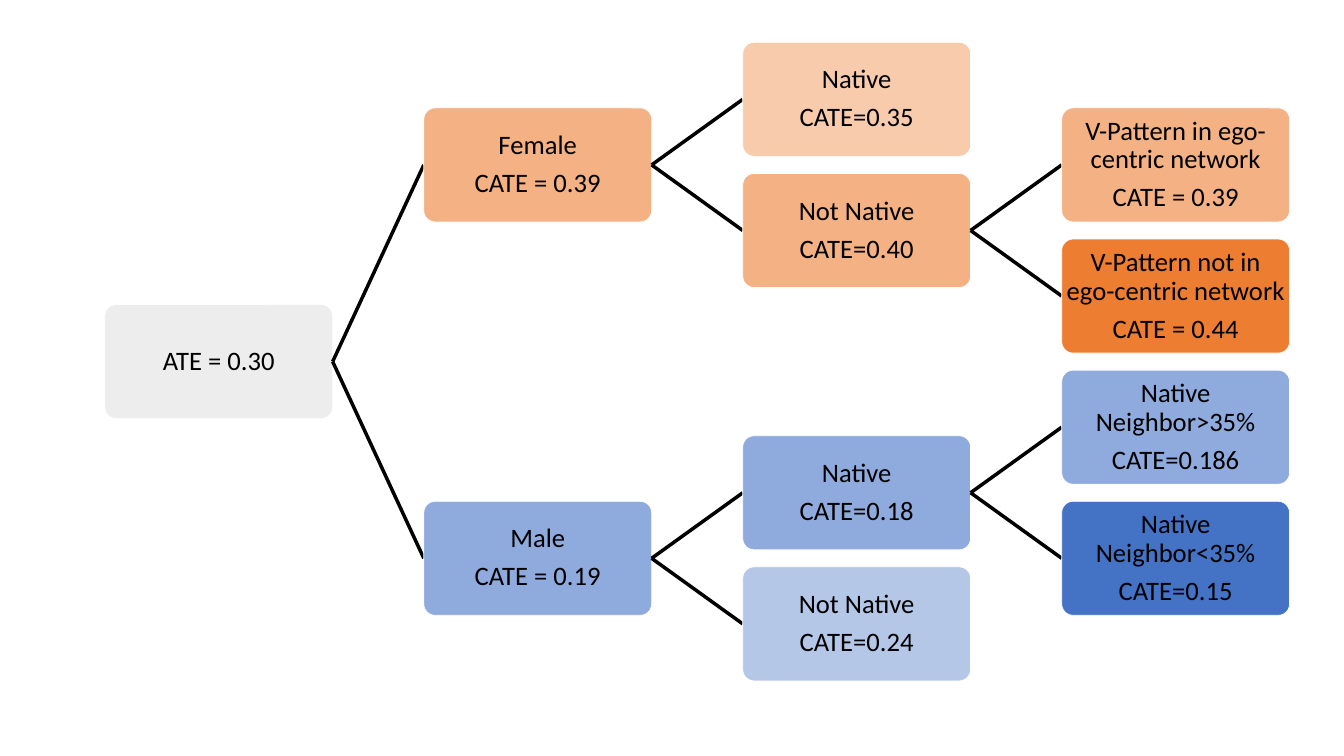
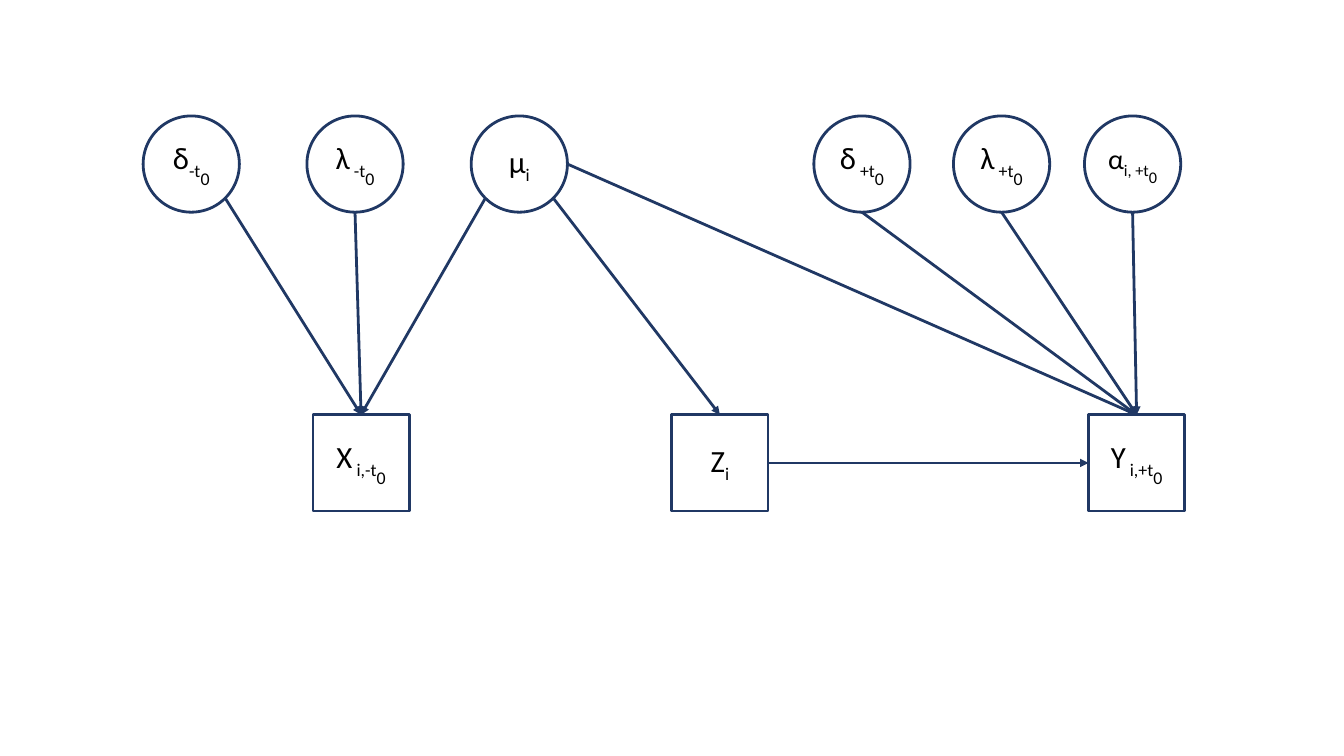
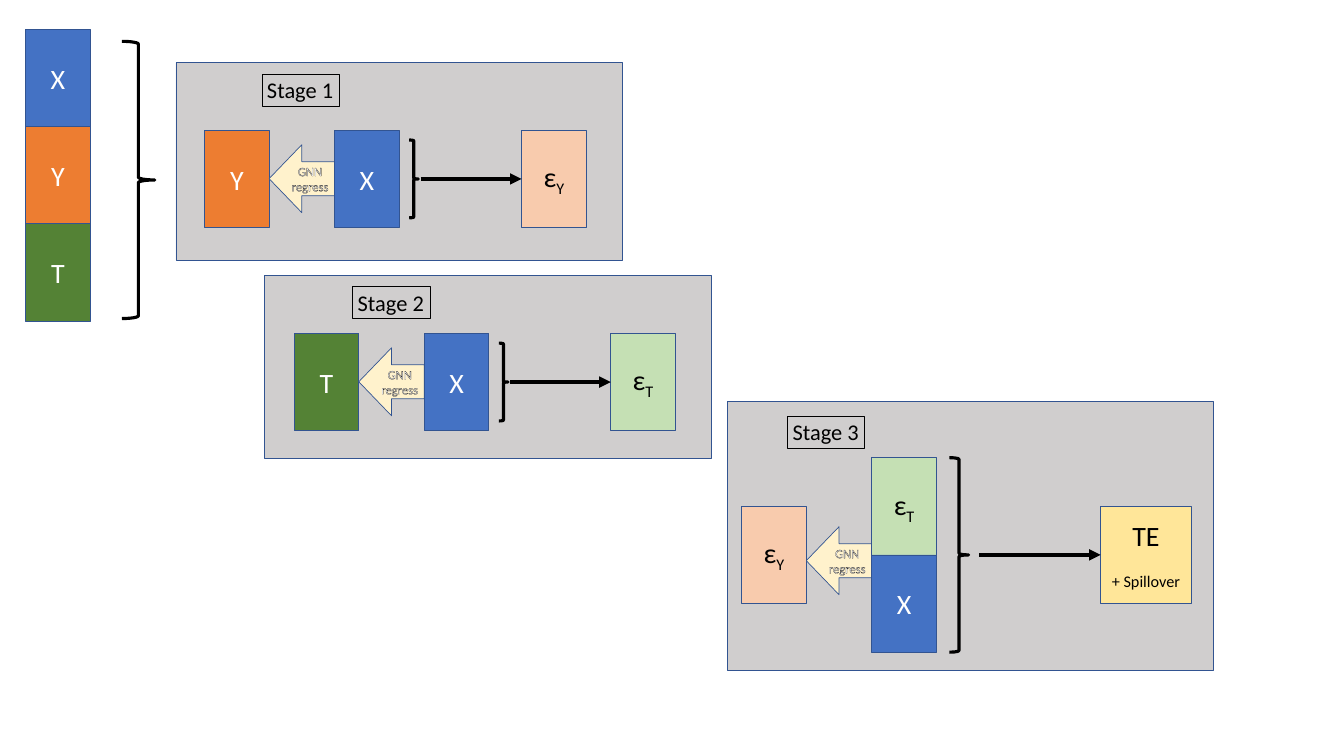
import pptx
import pptx.util
import pptx.dml.color
import pptx.enum.shapes
import pptx.enum.text
import lxml.etree
from pptx.oxml.ns import qn

KIND = pptx.enum.shapes.MSO_SHAPE
ALIGN = pptx.enum.text.PP_ALIGN
ANCHOR = pptx.enum.text.MSO_ANCHOR
WIDE, HIGH = 26.67, 15
FONT = "Calibri"
BLACK, WHITE, NAVY, EDGE = "000000", "FFFFFF", "203864", "325491"
BLUE, ORANGE, GREEN, GREY = "4472C4", "ED7D31", "548235", "D0CECE"
PEACH, SKY, PALE, LEAF = "F4B183", "8FAADC", "F8CBAD", "C5E0B4"


def inch(*sizes):
    return [pptx.util.Inches(size) for size in sizes]


def tint(part, color):
    """Colour a fill or a font with a hex string."""
    if hasattr(part, "solid"):
        part.solid()
        part = part.fore_color
    else:
        part = part.color
    part.rgb = pptx.dml.color.RGBColor.from_string(color)


def write(shape, rows, size, color=BLACK, align=ALIGN.CENTER):
    """Each row is a list of (text, baseline percent) runs."""
    frame = shape.text_frame
    frame.word_wrap = True
    frame.vertical_anchor = ANCHOR.MIDDLE
    for i, row in enumerate(rows):
        para = frame.paragraphs[0] if i == 0 else frame.add_paragraph()
        para.alignment = align
        for text, base in row:
            run = para.add_run()
            run.text = text
            run.font.name = FONT
            run.font.size = pptx.util.Pt(size)
            tint(run.font.fill, color)
            if base:
                run.font._element.set("baseline", str(base * 1000))
    return frame


def block(slide, kind, box, fill=None, edge=EDGE, width=1):
    shape = slide.shapes.add_shape(kind, *inch(*box))
    shape.shadow.inherit = False
    if fill:
        tint(shape.fill, fill)
    else:
        shape.fill.background()
    tint(shape.line.fill, edge)
    shape.line.width = pptx.util.Pt(width)
    return shape


def link(slide, start, end, color, width, arrow=True):
    line = slide.shapes.add_connector(
        pptx.enum.shapes.MSO_CONNECTOR.STRAIGHT, *inch(*start, *end))
    tint(line.line.fill, color)
    line.line.width = pptx.util.Pt(width)
    props = line._element.spPr
    if arrow:
        lxml.etree.SubElement(props.find(qn("a:ln")), qn("a:tailEnd"), type="triangle")
    lxml.etree.SubElement(props, qn("a:effectLst"))


# Effect tree: column, row, parent, fill, lines of text
TREE = {
    "all": (0, 4, None, "EDEDED", ["ATE = 0.30"]),
    "female": (1, 1, "all", PEACH, ["Female", "CATE = 0.39"]),
    "f-native": (2, 0, "female", PALE, ["Native", "CATE=0.35"]),
    "f-other": (2, 2, "female", PEACH, ["Not Native", "CATE=0.40"]),
    "v-in": (3, 1, "f-other", PEACH, ["V-Pattern in ego-centric network", "CATE = 0.39"]),
    "v-out": (3, 3, "f-other", ORANGE, ["V-Pattern not in ego-centric network", "CATE = 0.44"]),
    "male": (1, 7, "all", SKY, ["Male", "CATE = 0.19"]),
    "m-native": (2, 6, "male", SKY, ["Native", "CATE=0.18"]),
    "more": (3, 5, "m-native", SKY, ["Native Neighbor>35%", "CATE=0.186"]),
    "less": (3, 7, "m-native", BLUE, ["Native Neighbor<35%", "CATE=0.15"]),
    "m-other": (2, 8, "male", "B4C7E7", ["Not Native", "CATE=0.24"]),
}


def draw_tree(slide, box):
    left, top, wide, high = box
    node_w, node_h = wide / 5.2, high / 5.6
    step_x, step_y = (wide - node_w) / 3, (high - node_h) / 8

    def spot(name):
        col, row = TREE[name][:2]
        return left + col * step_x, top + row * step_y

    for name, (_, _, parent, fill, lines) in TREE.items():
        x, y = spot(name)
        if parent:
            px, py = spot(parent)
            link(slide, (px + node_w, py + node_h / 2), (x, y + node_h / 2), BLACK, 5, False)
        node = block(slide, KIND.ROUNDED_RECTANGLE, (x, y, node_w, node_h), fill, WHITE)
        node.adjustments[0] = 0.1
        frame = write(node, [[(line, 0)] for line in lines], 38)
        frame.margin_left = frame.margin_right = pptx.util.Inches(0.02)
        frame.margin_top = frame.margin_bottom = pptx.util.Inches(0.03)
        for para in frame.paragraphs:
            para.line_spacing = 0.9
            para.space_after = pptx.util.Pt(13.3)


# Causal graph: offset from the left, letter, subscript, second subscript
CAUSES = {
    "d-": (0, "δ", "-t", "0"), "l-": (3.25, "λ", " -t", "0"),
    "mu": (6.51, "μ", "i", ""), "d+": (13.31, "δ", " +t", "0"),
    "l+": (16.08, "λ", " +t", "0"), "a+": (18.68, "α", "i, +t", "0"),
}
SEEN = {"X": (3.37, "X", " i,-t", "0"), "Z": (10.49, "Z", "i", ""),
        "Y": (18.76, "Y", " i,+t", "0")}
# Where an arrow leaves its circle, as shares of the circle's size
DOWN, SIDE = (0.5, 1), (1, 0.5)
LEFT, RIGHT = (0.15, 0.85), (0.85, 0.85)
ARROWS = [("mu", RIGHT, "Z"), ("mu", LEFT, "X"), ("mu", SIDE, "Y"),
          ("d+", DOWN, "Y"), ("l+", DOWN, "Y"), ("a+", DOWN, "Y"),
          ("l-", DOWN, "X"), ("d-", RIGHT, "X")]


def draw_graph(slide, box):
    left, top, _, high = box
    size = 1.91
    base = top + high - size
    for kind, nodes, y in ((KIND.RECTANGLE, SEEN, base), (KIND.OVAL, CAUSES, top)):
        for x, mark, sub, low in nodes.values():
            node = block(slide, kind, (left + x, y, size, size), None, NAVY, 4)
            runs = [(mark, 0), (sub, -25)] + ([(low, -53)] if low else [])
            write(node, [runs], 40 if mark == "α" else 44)
    for cause, (sx, sy), goal in ARROWS:
        start = left + CAUSES[cause][0] + sx * size, top + sy * size
        link(slide, start, (left + SEEN[goal][0] + size / 2, base), NAVY, 4)
    mid = base + size / 2
    link(slide, (left + SEEN["Z"][0] + size, mid), (left + SEEN["Y"][0], mid), NAVY, 4)


# Stages: cells by name, with fill, font colour and rows of runs
CELL_W, CELL_H, GAP = 1.28, 1.93, 1.3
CELLS = {
    "X": (BLUE, WHITE, [[("X", 0)]]),
    "Y": (ORANGE, WHITE, [[("Y", 0)]]),
    "T": (GREEN, WHITE, [[("T", 0)]]),
    "eY": (PALE, BLACK, [[("ε", 0), ("Y", -25)]]),
    "eT": (LEAF, BLACK, [[("ε", 0), ("T", -25)]]),
    "TE": ("FFE699", BLACK, [[("TE", 0)], [("+ Spillover", -25)]]),
}


def stack(slide, names, x, y, wide=CELL_W):
    """Cells on top of each other."""
    for i, name in enumerate(names):
        fill, color, rows = CELLS[name]
        cell = block(slide, KIND.RECTANGLE, (x, y + i * CELL_H, wide, CELL_H), fill)
        write(cell, rows, 40, color)


def brace(slide, box):
    block(slide, KIND.LEFT_BRACE, box, None, BLACK, 4.5).rotation = 180


def regress(slide, x, mid):
    arrow = block(slide, KIND.LEFT_ARROW, (x, mid - 0.68, GAP, 1.35), "FFF2CC")
    frame = write(arrow, [[("GNN", 0)], [("regress", 0)]], 18, WHITE)
    for para in frame.paragraphs:
        for run in para.runs:
            line = lxml.etree.Element(qn("a:ln"), w="9525")
            fill = lxml.etree.SubElement(line, qn("a:solidFill"))
            lxml.etree.SubElement(fill, qn("a:srgbClr"), val=BLACK)
            run.font._element.insert(0, line)


def draw_stage(slide, box, title, tag, first, mid, goal, inputs, out, end, lift=0):
    """Offsets tag, first, mid and end (of the output) count from the box."""
    left, top, _, _ = box
    mid += top
    block(slide, KIND.RECTANGLE, box, GREY)
    x = left + first
    stack(slide, [goal], x, mid - CELL_H / 2)
    regress(slide, x + CELL_W, mid + lift)
    x += CELL_W + GAP
    many = len(inputs) > 1
    stack(slide, inputs, x, mid - len(inputs) * CELL_H / 2)
    x += CELL_W + (0.26 if many else 0.2)
    wide, high = (0.38, 2 * CELL_H) if many else (0.18, 0.8 * CELL_H)
    brace(slide, (x, mid - high / 2, wide, high))
    x += wide + (0.21 if many else 0.05)
    stack(slide, [out], left + end, mid - CELL_H / 2, 1.8 if out == "TE" else CELL_W)
    link(slide, (x, mid), (left + end, mid), BLACK, 5.5)
    label = slide.shapes.add_textbox(*inch(left + tag[0], top + tag[1], 1.53, 0.64))
    tint(label.line.fill, BLACK)
    label.line.width = pptx.util.Pt(0.75)
    frame = write(label, [[(title, 0)]], 32, align=ALIGN.LEFT)
    frame.word_wrap = False
    frame.vertical_anchor = ANCHOR.TOP
    frame.auto_size = pptx.enum.text.MSO_AUTO_SIZE.SHAPE_TO_FIT_TEXT


def draw_data(slide, x, y):
    stack(slide, ["X", "Y", "T"], x, y)
    brace(slide, (x + 1.91, y + 0.24, 0.65, 5.5))


def main():
    deck = pptx.Presentation()
    deck.slide_width, deck.slide_height = inch(WIDE, HIGH)
    tree, graph, stages = [deck.slides.add_slide(deck.slide_layouts[6]) for _ in range(3)]
    draw_tree(tree, (0.078 * WIDE, 0.056 * HIGH, 23.51, 12.67))
    draw_graph(graph, (2.84, 2.3, 20.67, 7.84))
    draw_data(stages, 0.51, 0.58)
    draw_stage(stages, (3.49, 1.24, 8.86, 3.92), "Stage 1", (1.71, 0.23),
               0.57, 2.31, "Y", ["X"], "eY", 6.86)
    draw_stage(stages, (5.25, 5.46, 8.86, 3.63), "Stage 2", (1.75, 0.22),
               0.59, 2.12, "T", ["X"], "eT", 6.87)
    draw_stage(stages, (14.43, 7.96, 9.64, 5.34), "Stage 3", (1.2, 0.29),
               0.29, 3.05, "eY", ["eT", "X"], "TE", 7.41, 0.12)
    deck.save("out.pptx")


if __name__ == "__main__":
    main()
